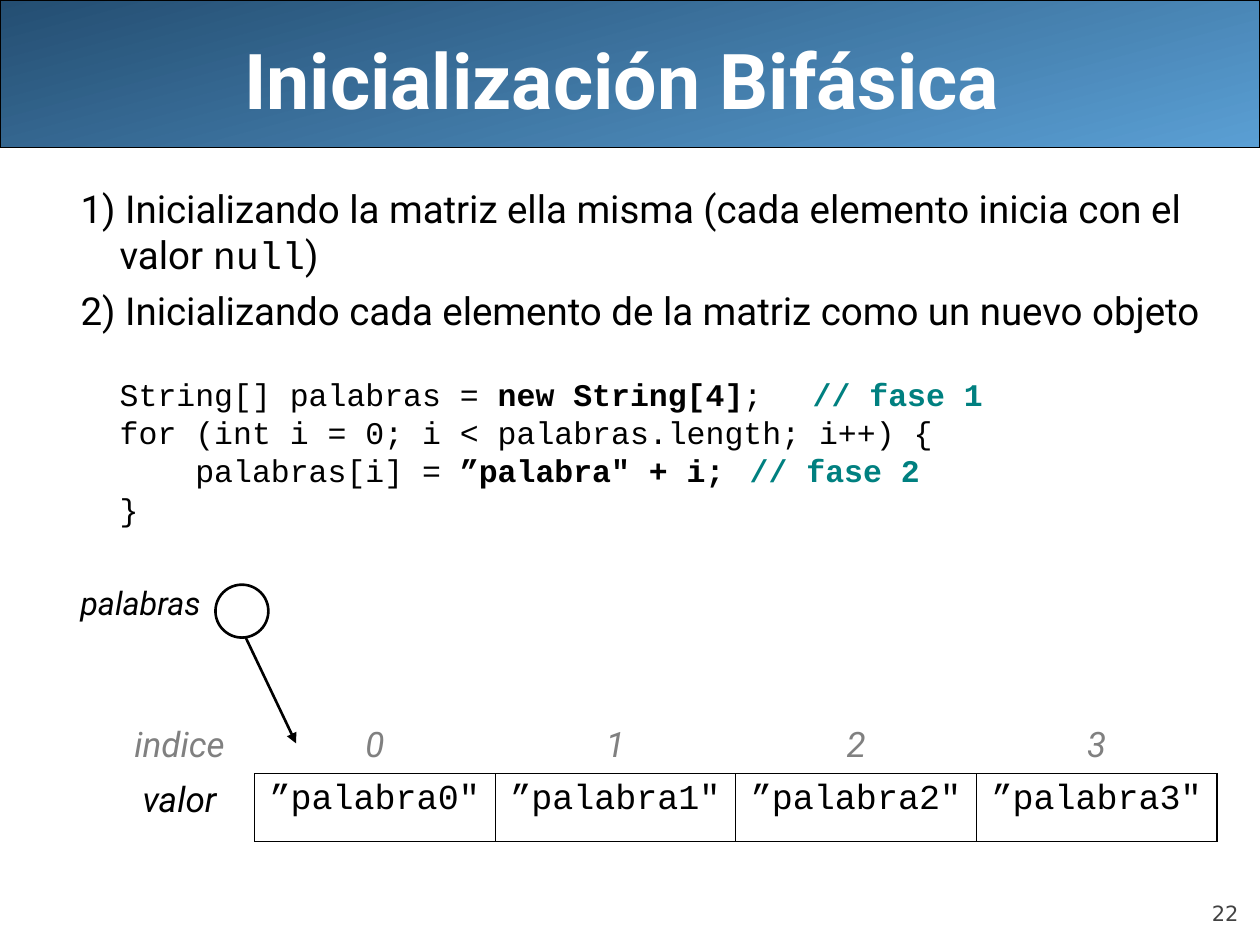
from lxml.etree import SubElement
from pptx import Presentation
from pptx.dml.color import RGBColor
from pptx.enum.shapes import MSO_CONNECTOR, MSO_SHAPE
from pptx.enum.text import MSO_ANCHOR, MSO_AUTO_SIZE, PP_ALIGN
from pptx.oxml.ns import qn
from pptx.util import Inches, Pt

BLACK, WHITE, GRAY, TEAL = "000000", "FFFFFF", "808080", "008080"
SANS, MONO = "Roboto", "Courier New"


def color(hex_string):
    return RGBColor.from_string(hex_string)


def set_font(font, size, name=SANS, hex_color=BLACK, bold=False, italic=False):
    font.size, font.name = Pt(size), name
    font.bold, font.italic = bold, italic
    font.color.rgb = color(hex_color)


class SlideBuilder:
    def __init__(self, slide):
        self.slide = slide
        self.shapes = slide.shapes

    def place(self, shape, left, top, width, height):
        shape.left, shape.top = Inches(left), Inches(top)
        shape.width, shape.height = Inches(width), Inches(height)

    def outline(self, shape, width):
        shape.line.color.rgb = color(BLACK)
        shape.line.width = Pt(width)

    def shape(self, kind, left, top, width, height, line_width):
        shape = self.shapes.add_shape(
            kind, Inches(left), Inches(top), Inches(width), Inches(height))
        shape.shadow.inherit = False
        self.outline(shape, line_width)
        return shape

    def banner(self, width, height):
        banner = self.shape(MSO_SHAPE.RECTANGLE, 0, 0, width, height, 0.75)
        banner.fill.gradient()
        banner.fill.gradient_angle = 105
        for stop, hex_color in zip(banner.fill.gradient_stops, ("5A9FD4", "244E72")):
            stop.color.rgb = color(hex_color)
        # The title sits in front of the banner
        self.shapes.title.element.addprevious(banner.element)

    def title(self, text, *box):
        title = self.shapes.title
        self.place(title, *box)
        title.text_frame.text = text
        title.text_frame.vertical_anchor = MSO_ANCHOR.MIDDLE
        paragraph = title.text_frame.paragraphs[0]
        paragraph.alignment = PP_ALIGN.CENTER
        set_font(paragraph.font, 44, hex_color=WHITE, bold=True)

    def body(self, *box):
        body = self.shapes.placeholders[1]
        self.place(body, *box)
        body.text_frame.auto_size = MSO_AUTO_SIZE.NONE
        return body.text_frame

    def body_paragraph(self, paragraph, runs, size, font_name, hanging=0.0,
                       before=0.0, spacing=1.0, tab=None):
        """Each run is a text and the font settings that differ."""
        properties = paragraph._p.get_or_add_pPr()
        properties.set("marL", str(Inches(0.68)))
        properties.set("indent", str(-Inches(hanging)))
        SubElement(properties, qn("a:buNone"))
        if tab:
            tab_list = SubElement(properties, qn("a:tabLst"))
            SubElement(tab_list, qn("a:tab"), pos=str(Inches(tab)), algn="l")
        paragraph.alignment = PP_ALIGN.LEFT
        paragraph.space_before = Pt(before)
        paragraph.line_spacing = spacing
        set_font(paragraph.font, size, font_name)
        for text, changes in runs:
            run = paragraph.add_run()
            run.text = text
            set_font(run.font, size, **{"name": font_name, **changes})

    def label(self, text, box, size, align, anchor=MSO_ANCHOR.TOP,
              margins=(0.1, 0.05), spacing=1.0, **font):
        frame = self.shapes.add_textbox(*map(Inches, box)).text_frame
        frame.word_wrap = True
        frame.vertical_anchor = anchor
        frame.margin_left = frame.margin_right = Inches(margins[0])
        frame.margin_top = frame.margin_bottom = Inches(margins[1])
        paragraph = frame.paragraphs[0]
        paragraph.text = text
        paragraph.alignment = align
        paragraph.line_spacing = spacing
        set_font(paragraph.font, size, **font)

    def arrow(self, start, end):
        arrow = self.shapes.add_connector(
            MSO_CONNECTOR.STRAIGHT, *map(Inches, start + end))
        self.outline(arrow, 1.5)
        SubElement(arrow.line._get_or_add_ln(), qn("a:tailEnd"), type="triangle")
        SubElement(arrow._element.spPr, qn("a:effectLst"))

    def borders(self, cell, widths):
        """Widths in points: left, right, top, bottom; 0 means no border."""
        properties = cell._tc.get_or_add_tcPr()
        for position, (side, width) in enumerate(zip("LRTB", widths)):
            line = SubElement(properties, qn(f"a:ln{side}"), w=str(Pt(width)))
            properties.insert(position, line)
            if width:
                fill = SubElement(line, qn("a:solidFill"))
                SubElement(fill, qn("a:srgbClr"), val=BLACK)
            else:
                SubElement(line, qn("a:noFill"))

    def array_table(self, rows, left, top, column_widths, row_heights):
        table = self.shapes.add_table(
            len(rows), len(column_widths), Inches(left), Inches(top),
            Inches(sum(column_widths)), Inches(sum(row_heights))).table
        table.first_row = table.horz_banding = False
        for column, width in zip(table.columns, column_widths):
            column.width = Inches(width)
        for row, height in zip(table.rows, row_heights):
            row.height = Inches(height)
        last = len(column_widths) - 1
        for i, texts in enumerate(rows):
            for j, text in enumerate(texts):
                cell = table.cell(i, j)
                is_value = i == 1 and j > 0
                cell.fill.background()
                paragraph = cell.text_frame.paragraphs[0]
                paragraph.text = text
                paragraph.alignment = PP_ALIGN.CENTER
                set_font(paragraph.font, 20, MONO if is_value else SANS,
                         GRAY if i == 0 else BLACK, italic=not is_value)
                if is_value:
                    self.borders(cell, (0.45, 1.08 if j == last else 0.45, 0.45, 1.08))
                else:
                    self.borders(cell, (0, 0.45 if i == 1 else 0, 0, 0.45 if i == 0 and j else 0))


def main():
    presentation = Presentation()
    presentation.slide_width, presentation.slide_height = Inches(10), Inches(7.5)
    builder = SlideBuilder(presentation.slides.add_slide(presentation.slide_layouts[1]))

    # Heading
    builder.banner(10, 1.17)
    builder.title("Inicialización Bifásica", 0.44, 0, 9, 1.25)

    # Two phases, then the code
    bold, comment = {"bold": True}, {"bold": True, "hex_color": TEAL}
    phases = [
        [("1) Inicializando la matriz ella misma (cada elemento inicia con el valor ", {}),
         ("null", {"name": MONO}), (")", {})],
        [("2) Inicializando cada elemento de la matriz como un nuevo objeto", {})],
    ]
    code = [
        ([("String[] palabras = ", {}), ("new String[4]", bold), (";\t", {}),
          ("// fase 1", comment)], 7.44),
        ([("for (int i = 0; i < palabras.length; i++) {", {})], None),
        ([("    palabras[i] = ", {}), ("”palabra\" + i;\t", bold),
          ("// fase 2", comment)], 7.74),
        ([("}", {})], None),
    ]
    frame = builder.body(0.17, 1.42, 9.83, 5.67)
    for i, runs in enumerate(phases):
        paragraph = frame.add_paragraph() if i else frame.paragraphs[0]
        builder.body_paragraph(paragraph, runs, 22, SANS, hanging=0.31,
                               before=5.5 if i else 0)
    for i, (runs, tab) in enumerate(code):
        builder.body_paragraph(frame.add_paragraph(), runs, 18, MONO,
                               before=4.5 if i else 28, spacing=0.8, tab=tab)

    # Array contents
    rows = [["indice"] + [str(n) for n in range(4)],
            ["valor"] + [f"”palabra{n}\"" for n in range(4)]]
    builder.array_table(rows, 0.83, 5.7, [1.19] + [1.91] * 4, [0.44, 0.54])

    # Reference to the array
    builder.label("palabras", (0.44, 4.61, 1.25, 0.49), 18.5, PP_ALIGN.RIGHT,
                  spacing=0.9, italic=True)
    builder.arrow((1.95, 5.06), (2.35, 5.9))
    circle = builder.shape(MSO_SHAPE.OVAL, 1.71, 4.64, 0.42, 0.42, 1.5)
    circle.fill.solid()
    circle.fill.fore_color.rgb = color(WHITE)

    # Slide number
    builder.label("22", (9, 6.95, 0.83, 0.4), 12, PP_ALIGN.RIGHT, MSO_ANCHOR.BOTTOM,
                  margins=(0, 0), name="DejaVu Sans", hex_color="424242")

    presentation.save("out.pptx")


if __name__ == "__main__":
    main()
